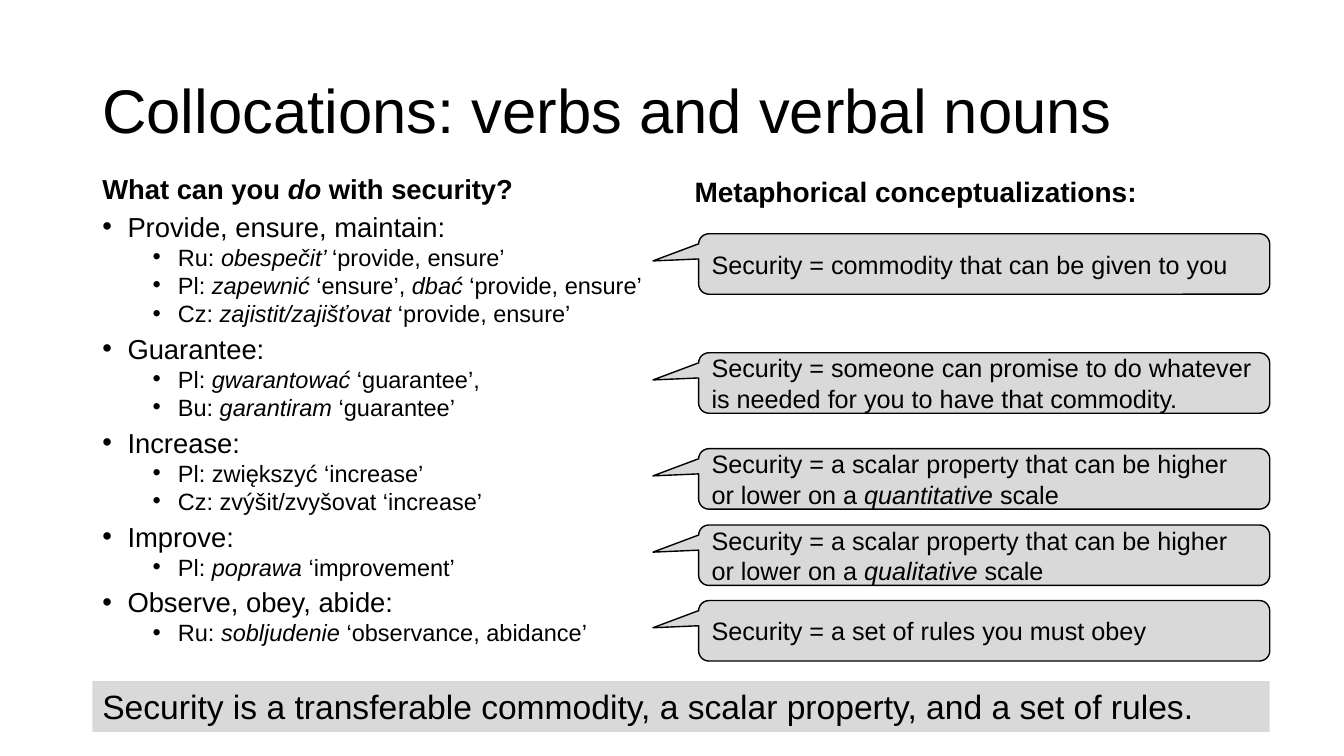
"""Build the slide on verbs and verbal nouns that go with security."""
from lxml import etree
from pptx import Presentation
from pptx.dml.color import RGBColor
from pptx.enum.shapes import MSO_SHAPE
from pptx.enum.text import MSO_ANCHOR, PP_ALIGN
from pptx.oxml.ns import qn
from pptx.util import Pt

CALLOUT = MSO_SHAPE.ROUNDED_RECTANGULAR_CALLOUT
RECT = MSO_SHAPE.RECTANGLE
TOP, MIDDLE = MSO_ANCHOR.TOP, MSO_ANCHOR.MIDDLE
LEFT = PP_ALIGN.LEFT
FONT = "Arial"
COLORS = {"ink": "000000", "grey": "D9D9D9"}

VERBS = [
    ("Provide, ensure, maintain:", [
        "Ru: *obespečit’ *‘provide, ensure’",
        "Pl: *zapewnić* ‘ensure’, *dbać* ‘provide, ensure’",
        "Cz: *zajistit/zajišťovat *‘provide, ensure’"]),
    ("Guarantee:", [
        "Pl: *gwarantować* ‘guarantee’,",
        "Bu: *garantiram* ‘guarantee’"]),
    ("Increase:", [
        "Pl: zwiększyć ‘increase’",
        "Cz: zvýšit/zvyšovat ‘increase’"]),
    ("Improve:", ["Pl: *poprawa* ‘improvement’"]),
    ("Observe, obey, abide:", ["Ru: *sobljudenie* ‘observance, abidance’"]),
]
SCALAR = "Security = a scalar property that can be higher or lower on a "
VIEWS = [
    (167, "Security = commodity that can be given to you"),
    (252, "Security = someone can promise to do whatever is needed "
          "for you to have that commodity."),
    (320.5, SCALAR + "*quantitative *scale"),
    (375, SCALAR + "*qualitative *scale"),
    (429, "Security = a set of rules you must obey"),
]


def color(name):
    """Return the named colour."""
    return RGBColor.from_string(COLORS[name])


def write(para, text, size, bold=False):
    """Fill a paragraph, with text between asterisks in italics."""
    para.alignment = LEFT
    for i, part in enumerate(text.split("*")):
        if part:
            run = para.add_run()
            run.text = part
            font = run.font
            font.name, font.size = FONT, Pt(size)
            font.bold, font.italic = bold, i % 2 == 1
            font.color.rgb = color("ink")


def add_box(slide, left, top, width, height, anchor=TOP):
    """Add a wrapping text box and return its frame."""
    box = slide.shapes.add_textbox(Pt(left), Pt(top), Pt(width), Pt(height))
    frame = box.text_frame
    frame.word_wrap = True
    frame.vertical_anchor = anchor
    return frame


def add_head(slide, place, text, size, space, bold=True, anchor=TOP):
    """Add a text box that opens with one heading line."""
    frame = add_box(slide, *place, anchor)
    para = frame.paragraphs[0]
    para.line_spacing = space
    write(para, text, size, bold)
    return frame


def add_bullet(frame, text, level):
    """Append a bulleted line at level 0 or 1."""
    para = frame.add_paragraph()
    para.level = level
    props = para._p.get_or_add_pPr()
    props.set("marL", str(Pt(18 + 36 * level)))
    props.set("indent", str(Pt(-18)))
    etree.SubElement(props, qn("a:buFont")).set("typeface", FONT)
    etree.SubElement(props, qn("a:buChar")).set("char", "•")
    para.line_spacing = 0.8
    para.space_before = Pt(4 if level else 8)
    write(para, text, 16.8 if level else 19.6)


def add_panel(slide, kind, place, text, size, anchor):
    """Add a grey shape with left-aligned text."""
    shape = slide.shapes.add_shape(kind, *map(Pt, place))
    shape.shadow.inherit = False
    shape.fill.solid()
    shape.fill.fore_color.rgb = color("grey")
    shape.line.fill.background()
    frame = shape.text_frame
    frame.word_wrap = True
    frame.vertical_anchor = anchor
    write(frame.paragraphs[0], text, size)
    return shape


def add_view(slide, top, text):
    """Add an outlined callout that points to the left."""
    shape = add_panel(slide, CALLOUT, (499, top, 408, 43.2), text, 18, MIDDLE)
    for i, value in enumerate((-0.58, -0.05, 0.17)):
        shape.adjustments[i] = value
    shape.line.color.rgb = color("ink")
    shape.line.width = Pt(1)


def main():
    """Build and save the slide."""
    deck = Presentation()
    deck.slide_width, deck.slide_height = Pt(960), Pt(540)
    slide = deck.slides.add_slide(deck.slide_layouts[6])
    add_head(slide, (66, 28.8, 828, 104.4),
             "Collocations: verbs and verbal nouns", 44, 0.9, False, MIDDLE)
    verbs = add_head(slide, (66, 124, 408, 343),
                     "What can you *do *with security?", 19.6, 0.8)
    for verb, items in VERBS:
        add_bullet(verbs, verb, 0)
        for item in items:
            add_bullet(verbs, item, 1)
    add_head(slide, (489, 124, 408, 43.2),
             "Metaphorical conceptualizations:", 20, 0.9)
    for top, text in VIEWS:
        add_view(slide, top, text)
    add_panel(slide, RECT, (66, 486.5, 841, 36.3),
              "Security is a transferable commodity, a scalar property, "
              "and a set of rules.", 24, TOP)
    deck.save("out.pptx")


if __name__ == "__main__":
    main()
